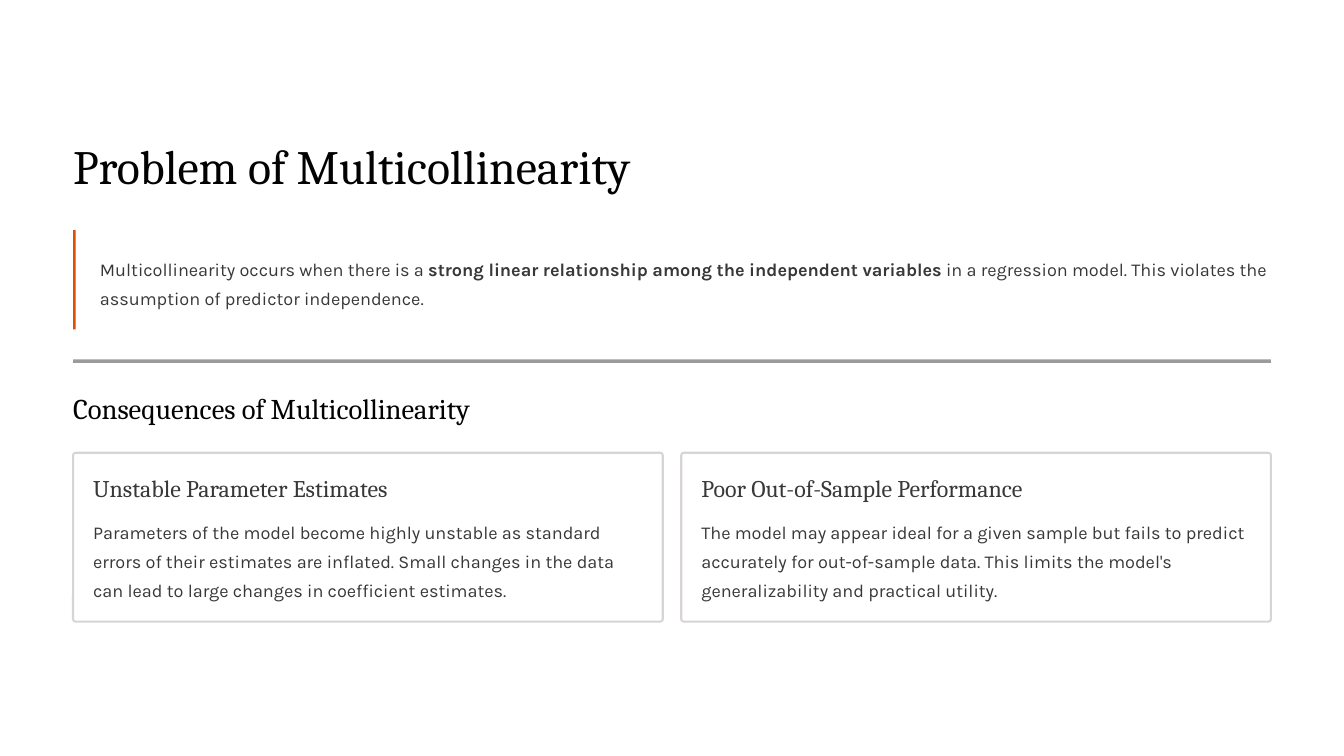
from lxml.etree import SubElement
from pptx import Presentation
from pptx.dml.color import RGBColor
from pptx.enum.shapes import MSO_SHAPE as Shape
from pptx.oxml.ns import qn
from pptx.util import Inches, Pt

BLACK = RGBColor(0x02, 0x02, 0x02)
GRAY = RGBColor(0x38, 0x38, 0x38)
ORANGE = RGBColor(0xE0, 0x4F, 0x00)
BORDER = RGBColor(0xD8, 0xD4, 0xD4)
WHITE = RGBColor(0xFF, 0xFF, 0xFF)

SERIF, SANS = "Cambria", "Karla"
WIDTH, HEIGHT = 16, 9
MARGIN = 0.87
CONTENT = WIDTH - 2 * MARGIN
GUTTER = 0.22
CARD_WIDTH = (CONTENT - GUTTER) / 2
CARD_TOP, CARD_HEIGHT = 5.39, 2.01
PADDING = 0.24

DEFINITION = (
    ("Multicollinearity occurs when there is a ", False),
    ("strong linear relationship among the independent variables", True),
    (" in a regression model. This violates the assumption of predictor independence.", False),
)
CARDS = (
    ("Unstable Parameter Estimates", 3.81,
     "Parameters of the model become highly unstable as standard errors of their estimates "
     "are inflated. Small changes in the data can lead to large changes in coefficient estimates."),
    ("Poor Out-of-Sample Performance", 4.21,
     "The model may appear ideal for a given sample but fails to predict accurately for "
     "out-of-sample data. This limits the model's generalizability and practical utility."),
)


def add_text(page, area, spans, size, leading, font=SANS, color=GRAY, wrap=True):
    """Add a text box without insets, holding one paragraph of (text, bold) spans."""
    box = page.shapes.add_textbox(*map(Inches, area))
    frame = box.text_frame
    frame.margin_left = frame.margin_right = frame.margin_top = frame.margin_bottom = 0
    frame.word_wrap = wrap
    para = frame.paragraphs[0]
    para.line_spacing = Pt(leading)
    para.font.name, para.font.size = font, Pt(size)
    para.font.color.rgb = color
    for text, bold in spans:
        span = para.add_run()
        span.text = text
        if bold:
            span.font.bold = True


def add_heading(page, area, text, size, leading, color=BLACK):
    """Add a one-line serif heading."""
    add_text(page, area, [(text, False)], size, leading, SERIF, color, wrap=False)


def add_block(page, area, fill, kind=Shape.RECTANGLE):
    """Add a filled shape without a line or shadow."""
    block = page.shapes.add_shape(kind, *map(Inches, area))
    block.shadow.inherit = False
    block.fill.solid()
    block.fill.fore_color.rgb = fill
    block.line.fill.background()
    return block


def add_divider(page, top):
    """Add a half-transparent bar across the content width."""
    divider = add_block(page, (MARGIN, top, CONTENT, 0.04), GRAY)
    color = divider.fill._xPr.find(qn("a:solidFill"))[0]
    SubElement(color, qn("a:alpha"), val="50000")


def add_card(page, left, title, title_width, body):
    """Add an outlined card with a heading and body text."""
    card = add_block(page, (left, CARD_TOP, CARD_WIDTH, CARD_HEIGHT), WHITE, Shape.ROUNDED_RECTANGLE)
    card.adjustments[0] = 0.016
    card.line.color.rgb = BORDER
    card.line.width = Pt(1.8)
    inner = left + PADDING
    add_heading(page, (inner, CARD_TOP + PADDING, title_width, 0.36), title, 20.5, 25.5, GRAY)
    add_text(page, (inner, CARD_TOP + 0.73, CARD_WIDTH - 2 * PADDING, 1.04), [(body, False)], 15.5, 25)


def main():
    """Build the slide and save it."""
    deck = Presentation()
    deck.slide_width, deck.slide_height = Inches(WIDTH), Inches(HEIGHT)
    page = deck.slides.add_slide(deck.slide_layouts[6])
    page.background.fill.solid()
    page.background.fill.fore_color.rgb = WHITE

    add_heading(page, (MARGIN, 1.6, 7.18, 0.71), "Problem of Multicollinearity", 41, 51)
    add_text(page, (MARGIN + 0.32, 2.99, CONTENT - 0.32, 0.69), DEFINITION, 15.5, 25)
    add_block(page, (MARGIN, 2.74, 0.03, 1.18), ORANGE)
    add_divider(page, 4.28)
    add_heading(page, (MARGIN, 4.64, 5.18, 0.43), "Consequences of Multicollinearity", 24.5, 30.5)
    for column, (title, title_width, body) in enumerate(CARDS):
        add_card(page, MARGIN + column * (CARD_WIDTH + GUTTER), title, title_width, body)

    deck.save("out.pptx")


if __name__ == "__main__":
    main()
